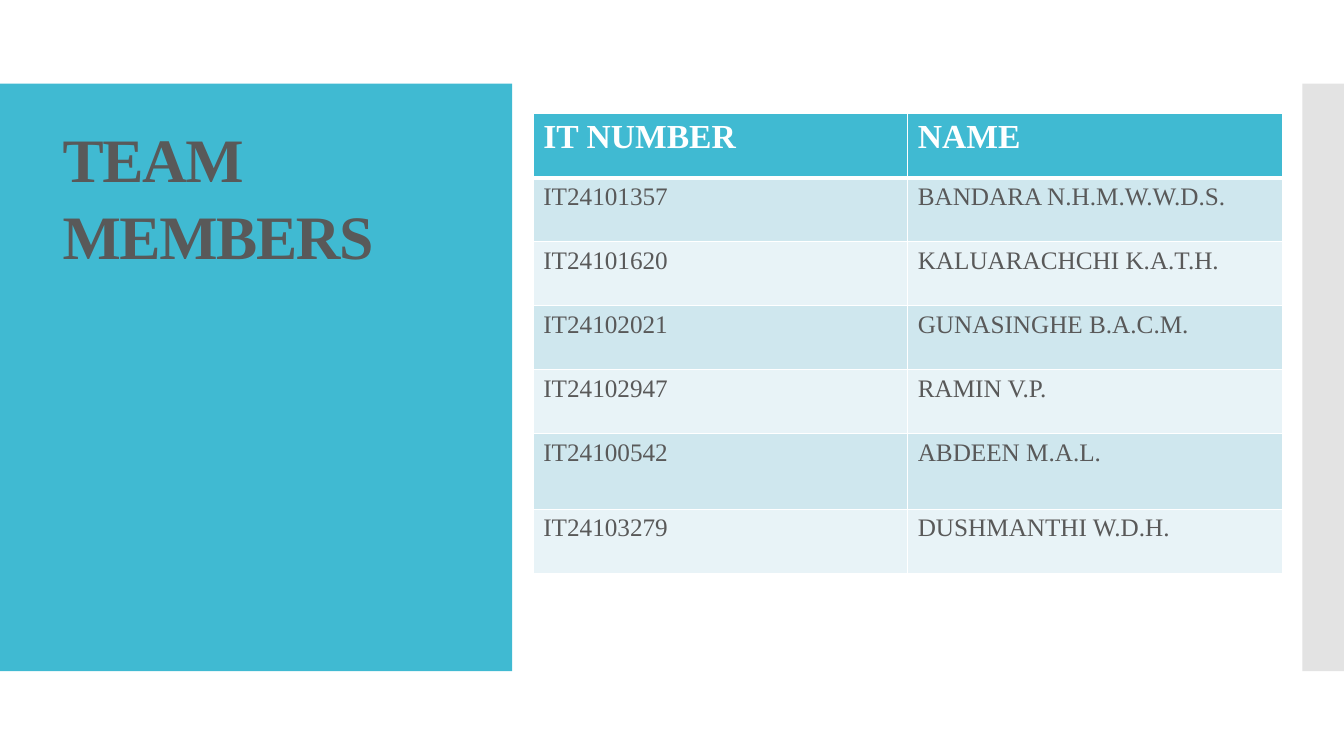
from lxml import etree
from pptx import Presentation
from pptx.dml.color import RGBColor
from pptx.enum.shapes import MSO_SHAPE
from pptx.enum.text import MSO_ANCHOR, MSO_AUTO_SIZE, PP_ALIGN
from pptx.oxml.ns import qn
from pptx.util import Inches, Pt

RECTANGLE = MSO_SHAPE.RECTANGLE
TOP = MSO_ANCHOR.TOP
NO_FIT = MSO_AUTO_SIZE.NONE
LEFT = PP_ALIGN.LEFT

TEAL = "40BAD2"
GREY = "595959"
WHITE = "FFFFFF"
STRIP = "E3E3E3"
BANDS = ["E8F3F7", "CFE7EE"]
FONT = "Times New Roman"

MEMBERS = [
    ("IT NUMBER", "NAME"),
    ("IT24101357", "BANDARA N.H.M.W.W.D.S."),
    ("IT24101620", "KALUARACHCHI K.A.T.H."),
    ("IT24102021", "GUNASINGHE B.A.C.M."),
    ("IT24102947", "RAMIN V.P."),
    ("IT24100542", "ABDEEN M.A.L."),
    ("IT24103279", "DUSHMANTHI W.D.H."),
]
ROW_HEIGHTS = [0.635] * 5 + [0.75, 0.635]


def color(value):
    return RGBColor.from_string(value)


def format_span(span, size, value, bold):
    span.font.name = FONT
    span.font.size = Pt(size)
    span.font.bold = bold
    span.font.color.rgb = color(value)


deck = Presentation()
deck.slide_width = Inches(13.333)
deck.slide_height = Inches(7.5)
page = deck.slides.add_slide(deck.slide_layouts[5])

for left, width, value in [(0, 5.08, TEAL), (12.92, 0.413, STRIP)]:
    panel = page.shapes.add_shape(
        RECTANGLE, Inches(left), Inches(0.83), Inches(width), Inches(5.83))
    panel.shadow.inherit = False
    panel.fill.solid()
    panel.fill.fore_color.rgb = color(value)
    panel.line.fill.background()

title = page.shapes.title
title.left, title.top = Inches(0.52), Inches(1.13)
title.width, title.height = Inches(3.31), Inches(2.27)
page.shapes._spTree.append(title._element)
frame = title.text_frame
frame.text = "TEAM\vMEMBERS"
frame.word_wrap = True
frame.auto_size = NO_FIT
frame.vertical_anchor = TOP
para = frame.paragraphs[0]
para.alignment = LEFT
para.line_spacing = 1.03
for span in para.runs:
    format_span(span, 44.1, GREY, True)
    span.font._element.set("spc", "-100")

table = page.shapes.add_table(
    len(MEMBERS), 2, Inches(5.29), Inches(1.13),
    Inches(7.43), Inches(sum(ROW_HEIGHTS))).table
for column in table.columns:
    column.width = Inches(7.43 / 2)

for index, member in enumerate(MEMBERS):
    table.rows[index].height = Inches(ROW_HEIGHTS[index])
    header = index == 0
    borders = {"lnL": 1, "lnR": 1, "lnT": 3 if index == 1 else 1, "lnB": 3 if header else 1}
    for position, text in enumerate(member):
        cell = table.cell(index, position)
        cell.text = text
        format_span(cell.text_frame.paragraphs[0].runs[0],
                    24 if header else 18, WHITE if header else GREY, header)
        properties = cell._tc.get_or_add_tcPr()
        for side, weight in borders.items():
            line = etree.SubElement(properties, qn(f"a:{side}"), w=str(Pt(weight)))
            fill = etree.SubElement(line, qn("a:solidFill"))
            etree.SubElement(fill, qn("a:srgbClr"), val=WHITE)
        cell.fill.solid()
        cell.fill.fore_color.rgb = color(TEAL if header else BANDS[index % 2])

deck.save("out.pptx")
